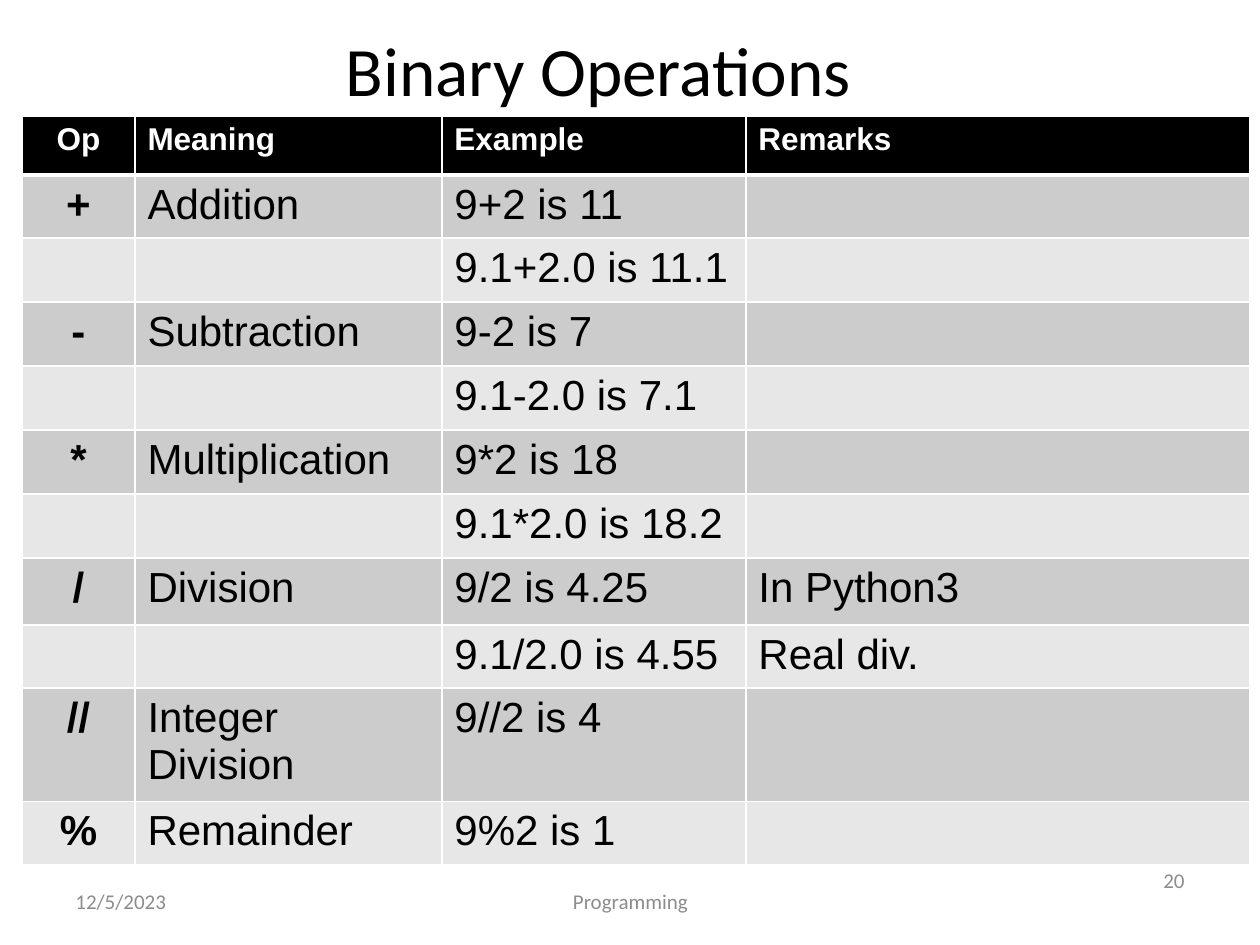
from dataclasses import dataclass

from lxml.etree import SubElement
from pptx import Presentation
from pptx.dml.color import RGBColor
from pptx.enum.text import MSO_ANCHOR, PP_ALIGN
from pptx.oxml.ns import qn
from pptx.util import Emu, Pt

PX_PER_INCH = 126


def px(n):
    return Emu(round(n * 914400 / PX_PER_INCH))


@dataclass(frozen=True)
class Theme:
    black: str = "000000"
    white: str = "FFFFFF"
    muted: str = "8C8C8C"
    band_dark: str = "CCCCCC"
    band_light: str = "E7E7E7"
    heading_font: str = "Calibri"
    table_font: str = "Arial"
    title_size: float = 39.6
    header_size: int = 18
    body_size: int = 24
    footer_size: int = 12
    rule: int = 1
    header_rule: int = 3


class Deck:
    def __init__(self, theme, width, height):
        self.theme = theme
        self.prs = Presentation()
        self.prs.slide_width, self.prs.slide_height = px(width), px(height)
        self.s = self.prs.slides.add_slide(self.prs.slide_layouts[6])

    def run(self, p, text, font, size, color, bold=False):
        r = p.add_run()
        r.text = text
        r.font.name = font
        r.font.size = Pt(size)
        r.font.bold = bold
        r.font.color.rgb = RGBColor.from_string(color)

    def text(self, box, text, size, color, align):
        sp = self.s.shapes.add_textbox(*map(px, box))
        tf = sp.text_frame
        tf.word_wrap = True
        tf.vertical_anchor = MSO_ANCHOR.MIDDLE
        p = tf.paragraphs[0]
        p.alignment = align
        self.run(p, text, self.theme.heading_font, size, color)

    def borders(self, cell, widths):
        pr = cell._tc.get_or_add_tcPr()
        for i, (side, width) in enumerate(widths.items()):
            ln = SubElement(pr, qn(f"a:{side}"), w=str(Pt(width)))
            fill = SubElement(ln, qn("a:solidFill"))
            SubElement(fill, qn("a:srgbClr"), val=self.theme.white)
            pr.insert(i, ln)

    def cell(self, cell, text, row, col):
        t = self.theme
        header = row == 0
        band = t.band_dark if row % 2 else t.band_light
        cell.fill.solid()
        cell.fill.fore_color.rgb = RGBColor.from_string(t.black if header else band)
        self.borders(cell, {
            "lnL": t.rule,
            "lnR": t.rule,
            "lnT": t.header_rule if row == 1 else t.rule,
            "lnB": t.header_rule if header else t.rule,
        })
        p = cell.text_frame.paragraphs[0]
        if col == 0:
            p.alignment = PP_ALIGN.CENTER
        if text:
            size = t.header_size if header else t.body_size
            color = t.white if header else t.black
            self.run(p, text, t.table_font, size, color, header or col == 0)

    def table(self, left, top, widths, heights, rows):
        box = map(px, (left, top, sum(widths), sum(heights)))
        table = self.s.shapes.add_table(len(rows), len(widths), *box).table
        for column, width in zip(table.columns, widths):
            column.width = px(width)
        for i, (values, height) in enumerate(zip(rows, heights)):
            table.rows[i].height = px(height)
            for j, value in enumerate(values):
                self.cell(table.cell(i, j), value, i, j)

    def save(self):
        self.prs.save("out.pptx")


OPERATIONS = [
    ("Op", "Meaning", "Example", "Remarks"),
    ("+", "Addition", "9+2 is 11", ""),
    ("", "", "9.1+2.0 is 11.1", ""),
    ("-", "Subtraction", "9-2 is 7", ""),
    ("", "", "9.1-2.0 is 7.1", ""),
    ("*", "Multiplication", "9*2 is 18", ""),
    ("", "", "9.1*2.0 is 18.2", ""),
    ("/", "Division", "9/2 is 4.25", "In Python3"),
    ("", "", "9.1/2.0 is 4.55", "Real div."),
    ("//", "Integer Division", "9//2 is 4", ""),
    ("%", "Remainder", "9%2 is 1", ""),
]


def main():
    t = Theme()
    deck = Deck(t, 1260, 945)
    deck.text((63, 21, 1071, 95), "Binary Operations", t.title_size, t.black,
              PP_ALIGN.CENTER)
    footers = [
        ((63, 876, 294, 50), "12/5/2023", PP_ALIGN.LEFT),
        ((431, 876, 399, 50), "Programming", PP_ALIGN.CENTER),
        ((903, 855, 294, 50), "20", PP_ALIGN.RIGHT),
    ]
    for box, text, align in footers:
        deck.text(box, text, t.footer_size, t.muted, align)
    heights = [59, 63] + [64] * 5 + [67, 63, 107, 63]
    deck.table(22, 116, [113, 307, 304, 504], heights, OPERATIONS)
    deck.save()


if __name__ == "__main__":
    main()
